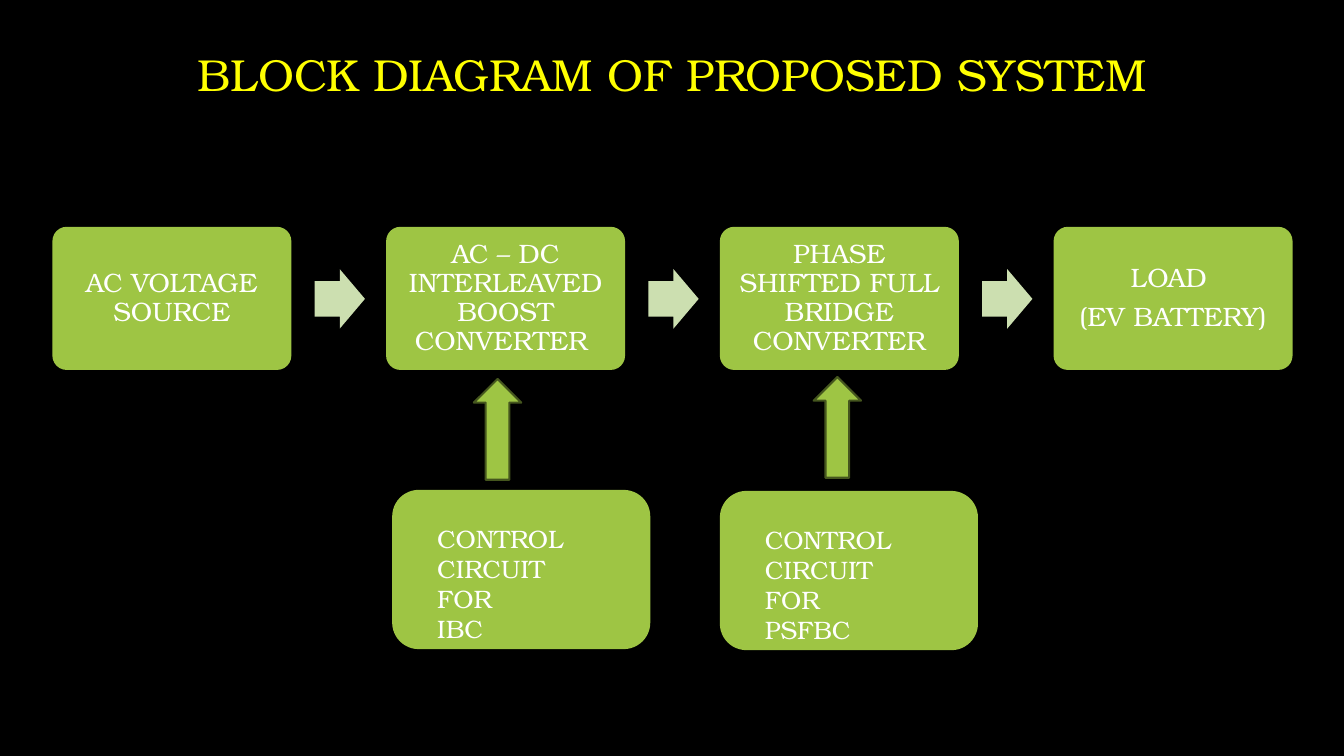
from dataclasses import dataclass

from pptx import Presentation
from pptx.dml.color import RGBColor
from pptx.enum.shapes import MSO_SHAPE
from pptx.enum.text import MSO_ANCHOR, MSO_AUTO_SIZE, PP_ALIGN
from pptx.util import Inches, Pt

ROUNDED = MSO_SHAPE.ROUNDED_RECTANGLE
RIGHT_ARROW, UP_ARROW = MSO_SHAPE.RIGHT_ARROW, MSO_SHAPE.UP_ARROW
LEFT, CENTER = PP_ALIGN.LEFT, PP_ALIGN.CENTER
TOP, MIDDLE = MSO_ANCHOR.TOP, MSO_ANCHOR.MIDDLE
NO_AUTOFIT = MSO_AUTO_SIZE.NONE


@dataclass(frozen=True)
class Theme:
    font: str = "TeX Gyre Bonum"
    background: str = "000000"
    title: str = "FFFF00"
    text: str = "FFFFFF"
    block: str = "9EC544"
    flow_arrow: str = "CCDFB0"
    outline: str = "45561E"
    title_size: float = 32
    stage_size: float = 19
    control_size: float = 18


@dataclass(frozen=True)
class Control:
    lines: tuple[str, ...]
    left: float
    top: float
    arrow_left: float
    arrow_top: float


THEME = Theme()
STAGES = (
    ("AC VOLTAGE SOURCE",),
    ("AC – DC INTERLEAVED BOOST CONVERTER ",),
    ("PHASE SHIFTED FULL BRIDGE CONVERTER",),
    ("LOAD ", "(EV BATTERY)"),
)
STAGE_LEFT, STAGE_TOP, STAGE_PITCH = 0.52, 2.25, 3.31
STAGE_WIDTH, STAGE_HEIGHT = 2.37, 1.42
FLOW_OFFSET, FLOW_TOP = 2.6, 2.67
CONTROLS = (
    Control(("CONTROL CIRCUIT FOR", "IBC"), 3.89, 4.86, 4.7, 3.76),
    Control(("CONTROL CIRCUIT FOR", "PSFBC"), 7.14, 4.87, 8.07, 3.74),
)


def write(shape, lines, *, size, color=THEME.text, align=CENTER, anchor=MIDDLE,
          insets=(0.1, 0.05, 0.1, 0.05), line_spacing=1.0, space_after=0.0):
    """Fill a shape with one paragraph per line; insets run left, top, right, bottom."""
    tf = shape.text_frame
    tf.word_wrap = True
    tf.auto_size = NO_AUTOFIT
    tf.vertical_anchor = anchor
    tf.margin_left, tf.margin_top, tf.margin_right, tf.margin_bottom = map(Inches, insets)
    for i, line in enumerate(lines):
        p = tf.paragraphs[0] if i == 0 else tf.add_paragraph()
        p.alignment = align
        p.line_spacing = line_spacing
        p.space_before, p.space_after = Pt(0), Pt(space_after)
        r = p.add_run()
        r.text = line
        r.font.name = THEME.font
        r.font.size = Pt(size)
        r.font.color.rgb = RGBColor.from_string(color)


def add_figure(s, kind, left: float, top: float, width: float, height: float,
               fill: str, adjustments: tuple[float, ...] = (), line: str = ""):
    sp = s.shapes.add_shape(kind, *map(Inches, (left, top, width, height)))
    sp.shadow.inherit = False
    sp.fill.solid()
    sp.fill.fore_color.rgb = RGBColor.from_string(fill)
    if line:
        sp.line.color.rgb = RGBColor.from_string(line)
        sp.line.width = Pt(1.5)
    else:
        sp.line.fill.background()
    for i, value in enumerate(adjustments):
        sp.adjustments[i] = value
    return sp


def add_title(s, text: str) -> None:
    title = s.shapes.title
    title.left, title.top = Inches(0.59), Inches(0.41)
    title.width, title.height = Inches(12.16), Inches(0.64)
    write(title, (text,), size=THEME.title_size, color=THEME.title, anchor=TOP)


def add_stage(s, index: int, lines: tuple[str, ...]) -> None:
    left = STAGE_LEFT + index * STAGE_PITCH
    block = add_figure(s, ROUNDED, left, STAGE_TOP, STAGE_WIDTH, STAGE_HEIGHT,
                       THEME.block, (0.1,))
    write(block, lines, size=THEME.stage_size, insets=(0.08,) * 4,
          line_spacing=0.9, space_after=6.65)
    if index < len(STAGES) - 1:
        add_figure(s, RIGHT_ARROW, left + FLOW_OFFSET, FLOW_TOP, 0.5, 0.59,
                   THEME.flow_arrow, (0.6, 0.5))


def add_control(s, control: Control) -> None:
    block = add_figure(s, ROUNDED, control.left, control.top, 2.56, 1.58, THEME.block)
    write(block, control.lines, size=THEME.control_size, align=LEFT, anchor=TOP,
          insets=(0.37, 0.25, 0.37, 0))
    add_figure(s, UP_ARROW, control.arrow_left, control.arrow_top, 0.47, 1,
               THEME.block, line=THEME.outline)


def main() -> None:
    prs = Presentation()
    prs.slide_width, prs.slide_height = Inches(13.33), Inches(7.5)
    s = prs.slides.add_slide(prs.slide_layouts[5])
    s.background.fill.solid()
    s.background.fill.fore_color.rgb = RGBColor.from_string(THEME.background)
    add_title(s, "BLOCK DIAGRAM OF PROPOSED SYSTEM")
    for index, lines in enumerate(STAGES):
        add_stage(s, index, lines)
    for control in CONTROLS:
        add_control(s, control)
    prs.save("out.pptx")


if __name__ == "__main__":
    main()
